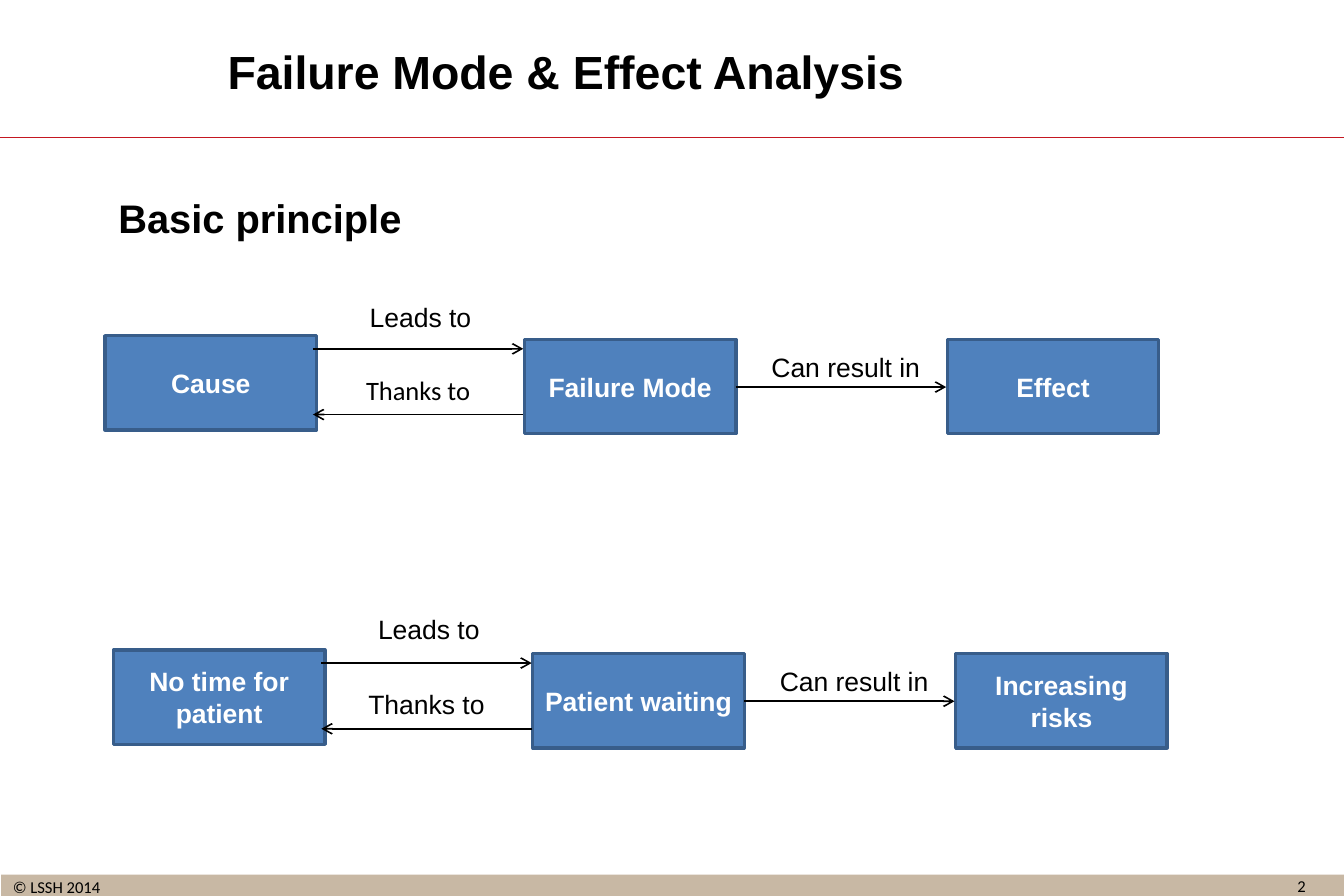
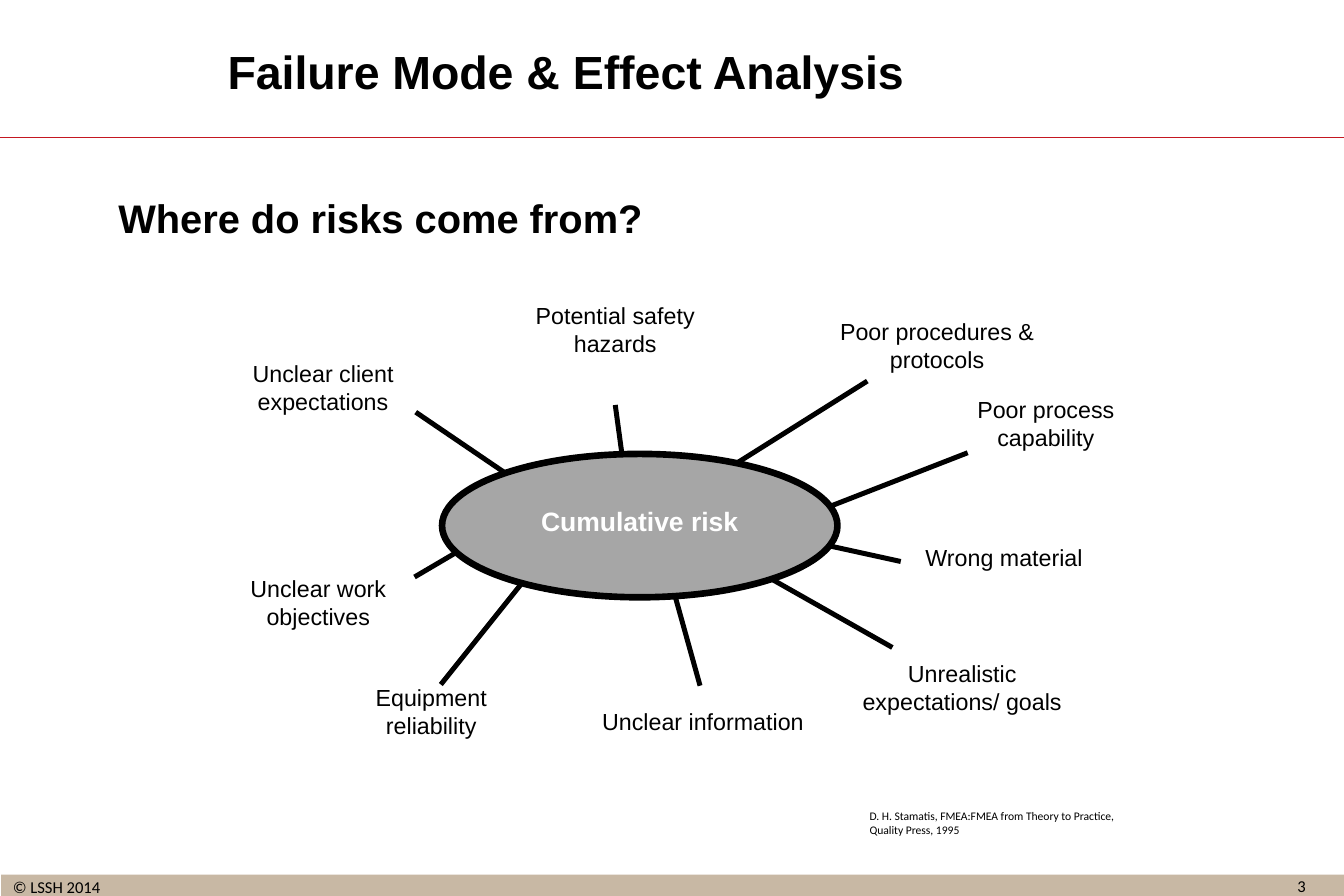
"""Build two slides on failure mode and effect analysis."""
from lxml import etree
from pptx import Presentation
from pptx.dml.color import RGBColor
from pptx.enum.shapes import MSO_CONNECTOR, MSO_SHAPE
from pptx.enum.text import MSO_ANCHOR, MSO_AUTO_SIZE, PP_ALIGN
from pptx.oxml.ns import qn
from pptx.util import Inches, Pt

RECTANGLE, OVAL = MSO_SHAPE.RECTANGLE, MSO_SHAPE.OVAL
STRAIGHT = MSO_CONNECTOR.STRAIGHT
LEFT, CENTER = PP_ALIGN.LEFT, PP_ALIGN.CENTER
TOP, MIDDLE, BOTTOM = MSO_ANCHOR.TOP, MSO_ANCHOR.MIDDLE, MSO_ANCHOR.BOTTOM
NO_AUTOFIT = MSO_AUTO_SIZE.NONE
color = RGBColor.from_string

BLACK, WHITE = "000000", "FFFFFF"
RED, SAND, GREY = "C41721", "C8B8A4", "A6A6A6"
BLUE, DARK_BLUE = "4F81BD", "385D8A"


def write(shape, text, size=16, ink=BLACK, bold=False, font="Arial",
          align=CENTER, anchor=TOP, above=0.05, below=0.05):
    """Put one formatted paragraph into a shape."""
    frame = shape.text_frame
    frame.word_wrap = True
    frame.auto_size = NO_AUTOFIT
    frame.vertical_anchor = anchor
    frame.margin_left = frame.margin_right = Inches(0.1)
    frame.margin_top, frame.margin_bottom = Inches(above), Inches(below)
    frame.text = text
    paragraph = frame.paragraphs[0]
    paragraph.alignment = align
    paragraph.space_before = Pt(0)
    style = paragraph.runs[0].font
    style.name, style.size, style.bold = font, Pt(size), bold
    style.color.rgb = color(ink)


def draw_line(slide, start, end, ink=BLACK, width=1, arrow=False):
    """Draw a straight line between two points in inches."""
    line = slide.shapes.add_connector(STRAIGHT, *map(Inches, start + end))
    line.line.color.rgb = color(ink)
    line.line.width = Pt(width)
    if arrow:
        etree.SubElement(line.line._get_or_add_ln(), qn("a:tailEnd"), type="arrow")
    etree.SubElement(line._element.spPr, qn("a:effectLst"))


prs = Presentation()
prs.slide_width, prs.slide_height = Inches(11.25), Inches(7.5)

slides = []
headings = ["Basic principle", "Where do risks come from?"]
for number, heading in enumerate(headings, start=2):
    slide = prs.slides.add_slide(prs.slide_layouts[1])
    slides.append(slide)

    band = slide.shapes.add_shape(RECTANGLE, Inches(0.01), Inches(7.32),
                                  Inches(11.24), Inches(0.18))
    band.shadow.inherit = False
    band.fill.solid()
    band.fill.fore_color.rgb = color(SAND)
    band.line.fill.background()

    page = slide.shapes.add_textbox(Inches(10.54), Inches(7.33), Inches(0.71), Inches(0.21))
    write(page, str(number), size=10, font="Calibri", above=0, below=0)
    copyright_line = slide.shapes.add_textbox(Inches(0.01), Inches(7.3),
                                              Inches(1.59), Inches(0.21))
    write(copyright_line, "© LSSH 2014", size=10, font="Calibri", align=LEFT,
          anchor=BOTTOM, above=0, below=0)
    draw_line(slide, (0, 1.15), (11.25, 1.15), ink=RED, width=0.75)

    title = slide.shapes.title
    title.left, title.top = Inches(0.75), Inches(0.26)
    title.width, title.height = Inches(7.97), Inches(0.66)
    write(title, "Failure Mode & Effect Analysis", size=28, bold=True, anchor=MIDDLE)

    body = slide.placeholders[1]
    body.left, body.top = Inches(0.89), Inches(1.57)
    body.width, body.height = Inches(9.74), Inches(5.51)
    write(body, heading, size=24, bold=True, align=LEFT)
    properties = body.text_frame.paragraphs[0]._p.get_or_add_pPr()
    properties.set("marL", "0")
    properties.set("indent", "0")
    etree.SubElement(properties, qn("a:buNone"))

principle, sources = slides

chains = [
    (0.88, 2.81, 2.47, "Calibri", ["Cause", "Failure Mode", "Effect"]),
    (0.95, 5.44, 5.08, "Arial", ["No time for patient", "Patient waiting", "Increasing risks"]),
]
step_offsets = [(0, 0), (3.51, 0.03), (7.05, 0.03)]
for left, top, leads_top, thanks_font, steps in chains:
    for step, (dx, dy) in zip(steps, step_offsets):
        box = principle.shapes.add_shape(RECTANGLE, Inches(left + dx), Inches(top + dy),
                                         Inches(1.77), Inches(0.79))
        box.shadow.inherit = False
        box.fill.solid()
        box.fill.fore_color.rgb = color(BLUE)
        box.line.color.rgb = color(DARK_BLUE)
        box.line.width = Pt(2)
        write(box, step, ink=WHITE, bold=True, anchor=MIDDLE)

    for start, end, dy in [(1.74, 3.5, 0.11), (3.5, 1.74, 0.66), (5.28, 7.04, 0.43)]:
        draw_line(principle, (left + start, top + dy), (left + end, top + dy), arrow=True)

    links = [
        ("Leads to", left + 1.76, leads_top, 1.76, "Arial"),
        ("Thanks to", left + 1.87, top + 0.27, 1.5, thanks_font),
        ("Can result in", left + 5.32, top + 0.08, 1.76, "Arial"),
    ]
    for link, x, y, width, font in links:
        label = principle.shapes.add_textbox(Inches(x), Inches(y), Inches(width), Inches(0.37))
        write(label, link, font=font)

risk_sources = [
    ("Unclear client expectations", 1.55, 2.96, 2.31, (3.48, 3.45), (4.23, 3.96)),
    ("Potential safety hazards", 4.24, 2.47, 1.82, (5.15, 3.39), (5.21, 3.83)),
    ("Poor procedures & protocols", 6.76, 2.61, 2.17, (7.26, 3.19), (6.13, 3.9)),
    ("Poor process capability", 7.81, 3.26, 1.89, (8.1, 3.79), (6.97, 4.23)),
    ("Wrong material", 7.46, 4.5, 1.89, (7.54, 4.7), (6.9, 4.56)),
    ("Unrealistic expectations/ goals", 6.97, 5.47, 2.17, (7.47, 5.42), (6.41, 4.82)),
    ("Unclear information", 4.87, 5.87, 2.03, (5.86, 5.74), (5.64, 4.95)),
    ("Equipment reliability", 2.7, 5.67, 1.82, (3.69, 5.73), (4.37, 4.88)),
    ("Unclear work objectives", 1.58, 4.76, 2.17, (3.47, 4.83), (3.81, 4.63)),
]
for source, x, y, width, start, end in risk_sources:
    label = sources.shapes.add_textbox(Inches(x), Inches(y), Inches(width), Inches(0.56))
    write(label, source, size=14)
    draw_line(sources, start, end, width=3)

risk = sources.shapes.add_shape(OVAL, Inches(3.7), Inches(3.8), Inches(3.31), Inches(1.2))
risk.shadow.inherit = False
risk.fill.solid()
risk.fill.fore_color.rgb = color(GREY)
risk.line.color.rgb = color(BLACK)
risk.line.width = Pt(4)
write(risk, "Cumulative risk", ink=WHITE, bold=True, anchor=MIDDLE, below=0.13)

citation = sources.shapes.add_textbox(Inches(7.18), Inches(6.72), Inches(2.38), Inches(0.33))
write(citation, "D. H. Stamatis, FMEA:FMEA from Theory to Practice, Quality Press, 1995",
      size=7, font="Calibri", align=LEFT)

prs.save("out.pptx")
